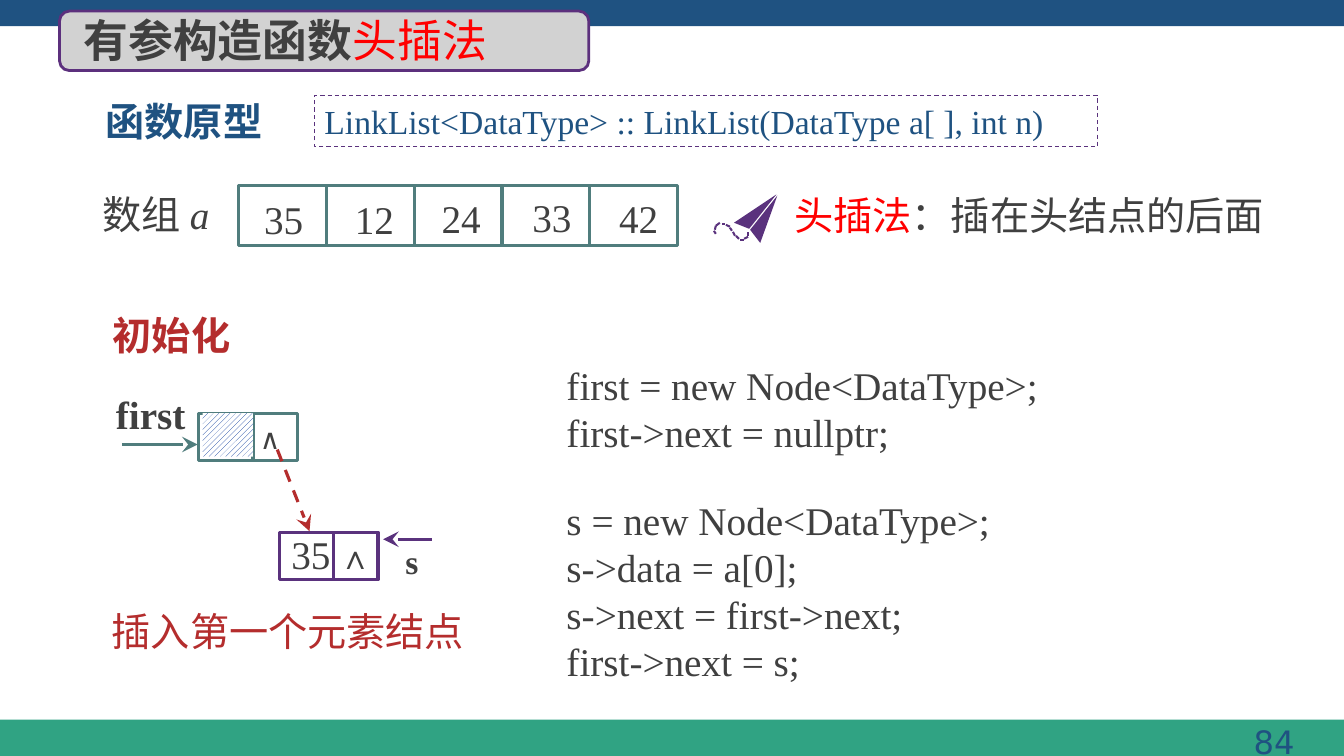
import math
import pptx
import pptx.dml.color
import pptx.enum.dml
import pptx.enum.shapes
import pptx.enum.text
import pptx.oxml
import pptx.oxml.ns
import pptx.util

# Colours and fonts
NAVY, GREEN, PURPLE, VIOLET = "1F5281", "30A383", "5A327D", "5C307D"
TEAL, RED, BRIGHT, GREY = "507D7D", "B42D2D", "FF0000", "404040"
SERIF, CJK, SANS = "Times New Roman", "Noto Sans CJK SC", "DejaVu Sans"

# Content; places are (left, top, width, height) in inches
BANDS = [((0, 7.14, 13.33, 0.36), GREEN), ((0, 0, 13.33, 0.26), NAVY)]
TITLE = [("有参构造函数", {"bold": True}), ("头插法", {"color": BRIGHT})]
ARRAY_LABEL = [("数组", {"name": SANS}), (" a", {"italic": True})]
ARRAY_NOTE = [("头插法", {"color": BRIGHT}), ("：插在头结点的后面", {})]
HEADINGS = [  # place, spans, size, font, colour, bold
    ((0.73, 0.07, 4.78, 0.64), TITLE, 32, CJK, GREY, False),
    ((0.95, 0.91, 2.67, 0.57), [("函数原型", {})], 28, SERIF, NAVY, True),
    ((0.92, 1.84, 1.58, 0.57), ARRAY_LABEL, 28, SERIF, GREY, False),
    ((7.78, 1.85, 5.04, 0.57), ARRAY_NOTE, 28, CJK, GREY, False),
    ((1.02, 3.04, 2.67, 0.57), [("初始化", {})], 28, SERIF, RED, True),
    ((1.01, 5.97, 3.92, 0.57), [("插入第一个元素结点", {})], 28, CJK, RED, False),
]
PROTOTYPE = "LinkList<DataType> :: LinkList(DataType a[ ], int n)"
CODE = [
    ((5.52, 3.54, 6.91, 1.04), ["first = new Node<DataType>;", "first->next = nullptr;"]),
    ((5.52, 4.87, 6.82, 1.99), ["s = new Node<DataType>;", "s->data = a[0];",
                                "s->next = first->next;", "first->next = s;"]),
]
ARRAY = [("35", 2.62, 1.94), ("12", 3.52, 1.94), ("24", 4.38, 1.93),
         ("33", 5.28, 1.92), ("42", 6.14, 1.93)]
ARRAY_LEFT, ARRAY_TOP, CELL_WIDTH, CELL_HEIGHT = 2.37, 1.84, 0.87, 0.6
NODES = [(1.97, 4.1, TEAL), (2.77, 5.28, PURPLE)]
NODE_WIDTH, NODE_HEIGHT, NODE_SPLIT = 0.98, 0.47, 0.54
ARROWS = [  # from, to, colour, dashed
    ((1.21, 4.41), (1.96, 4.41), TEAL, False),
    ((4.28, 5.35), (3.8, 5.35), PURPLE, False),
    ((2.75, 4.46), (3.07, 5.27), RED, True),
]
PLANE_WINGS = [[(7.71, 1.94), (7.54, 2.41), (7.44, 2.28)],
               [(7.7, 1.93), (7.43, 2.27), (7.28, 2.21)]]
TRAIL = [(7.42, 2.3, 7.42, 2.34), (7.42, 2.35, 7.38, 2.37), (7.38, 2.38, 7.34, 2.38),
         (7.33, 2.37, 7.3, 2.34), (7.29, 2.34, 7.27, 2.3), (7.26, 2.29, 7.24, 2.26),
         (7.24, 2.25, 7.2, 2.23), (7.19, 2.22, 7.16, 2.22), (7.14, 2.21, 7.1, 2.24),
         (7.1, 2.32, 7.08, 2.29), (7.1, 2.24, 7.09, 2.28)]
TRAIL_WIDTH = 0.02

deck = pptx.Presentation()


def inch(value):
    return pptx.util.Cm(value * 2.54)


deck.slide_width, deck.slide_height = inch(13.33), inch(7.5)
page = deck.slides.add_slide(deck.slide_layouts[6])


def rgb(code):
    return pptx.dml.color.RGBColor.from_string(code)


def set_line(line, color, width, dashed=False):
    line.color.rgb = rgb(color)
    line.width = pptx.util.Pt(width)
    if dashed:
        line.dash_style = pptx.enum.dml.MSO_LINE.DASH


def add_box(place, fill=None, line=None, width=2.25, dashed=False, kind="RECTANGLE"):
    preset = getattr(pptx.enum.shapes.MSO_SHAPE, kind)
    box = page.shapes.add_shape(preset, *map(inch, place))
    box.shadow.inherit = False
    if fill:
        box.fill.solid()
        box.fill.fore_color.rgb = rgb(fill)
    else:
        box.fill.background()
    if line:
        set_line(box.line, line, width, dashed)
    else:
        box.line.fill.background()
    return box


def write(box, lines, size, font=SERIF, color=GREY, bold=False, insets=(0.1, 0.05),
          anchor="TOP", align="LEFT", wrap=True, pitch=None):
    """Each line is a list of (text, format) spans."""
    frame = box.text_frame
    side, edge = map(inch, insets)
    settings = {"word_wrap": wrap, "margin_left": side, "margin_right": side,
                "margin_top": edge, "margin_bottom": edge,
                "vertical_anchor": getattr(pptx.enum.text.MSO_ANCHOR, anchor)}
    for key, value in settings.items():
        setattr(frame, key, value)
    for index, spans in enumerate(lines):
        para = frame.add_paragraph() if index else frame.paragraphs[0]
        para.alignment = getattr(pptx.enum.text.PP_ALIGN, align)
        if pitch:
            para.line_spacing = pptx.util.Pt(pitch)
        for text, changes in spans:
            span = para.add_run()
            span.text = text
            style = {"name": font, "size": pptx.util.Pt(size), "bold": bold,
                     "color": color, **changes}
            span.font.color.rgb = rgb(style.pop("color"))
            for key, value in style.items():
                setattr(span.font, key, value)
            east = pptx.oxml.parse_xml(
                f'<a:ea {pptx.oxml.ns.nsdecls("a")} '
                f'typeface="{SANS if style["name"] == SANS else CJK}"/>')
            span.font._element.find(pptx.oxml.ns.qn("a:latin")).addnext(east)


def add_text(place, lines, size, **options):
    write(page.shapes.add_textbox(*map(inch, place)), lines, size, **options)


def add_line(start, end, color, dashed=False, arrow=False):
    line = page.shapes.add_connector(
        pptx.enum.shapes.MSO_CONNECTOR.STRAIGHT, *map(inch, start + end))
    set_line(line.line, color, 2.25, dashed)
    names = pptx.oxml.ns.nsdecls("a")
    if arrow:
        line.line._get_or_add_ln().append(
            pptx.oxml.parse_xml(f'<a:tailEnd {names} type="stealth" w="lg" len="lg"/>'))
    line._element.spPr.append(pptx.oxml.parse_xml(f"<a:effectLst {names}/>"))


def add_outline(points, fill):
    corners = [(inch(x), inch(y)) for x, y in points]
    builder = page.shapes.build_freeform(*corners[0])
    builder.add_line_segments(corners[1:], close=True)
    outline = builder.convert_to_shape()
    outline.shadow.inherit = False
    outline.fill.solid()
    outline.fill.fore_color.rgb = rgb(fill)
    outline.line.fill.background()


# Bands, slide number and title plate
for place, color in BANDS:
    add_box(place, color)
add_text((10.03, 7.11, 2.94, 0.52), [[("84", {})]], 23, font=SANS, color=NAVY,
         insets=(0.13, 0.06), align="RIGHT")
add_box((0.59, 0.11, 5.25, 0.59), "D2D2D2", VIOLET, 2, kind="ROUNDED_RECTANGLE")

# Headings and labels
for place, spans, size, font, color, bold in HEADINGS:
    add_text(place, [spans], size, font=font, color=color, bold=bold, anchor="MIDDLE")

# Function prototype and code
write(add_box((3.12, 0.95, 7.77, 0.5), None, PURPLE, 0.75, True), [[(PROTOTYPE, {})]],
      24, color=NAVY, anchor="TOP")
for place, lines in CODE:
    add_text(place, [[(line, {})] for line in lines], 28, pitch=33.6)

# Array cells
for index, (number, left, top) in enumerate(ARRAY):
    add_box((ARRAY_LEFT + index * CELL_WIDTH, ARRAY_TOP, CELL_WIDTH, CELL_HEIGHT), None, TEAL)
    add_text((left, top, 0.45, 0.47), [[(number, {})]], 28, insets=(0, 0), pitch=33.6)

# Paper plane and its dashed trail
for wing in PLANE_WINGS:
    add_outline(wing, PURPLE)
for x1, y1, x2, y2 in TRAIL:
    reach = TRAIL_WIDTH / 2 / math.hypot(x2 - x1, y2 - y1)
    dx, dy = (y1 - y2) * reach, (x2 - x1) * reach
    add_outline([(x1 + dx, y1 + dy), (x2 + dx, y2 + dy),
                 (x2 - dx, y2 - dy), (x1 - dx, y1 - dy)], PURPLE)

# Linked nodes
for left, top, color in NODES:
    add_box((left, top, NODE_WIDTH, NODE_HEIGHT), None, color)
    add_line((left + NODE_SPLIT, top), (left + NODE_SPLIT, top + NODE_HEIGHT), color)
hatch = add_box((2.01, 4.1, 0.5, 0.43)).fill
hatch.patterned()
hatch.pattern = pptx.enum.dml.MSO_PATTERN.WIDE_UPWARD_DIAGONAL
hatch.fore_color.rgb, hatch.back_color.rgb = rgb("003399"), rgb("FFFFFF")
add_text((2.48, 4.13, 0.48, 0.43), [[("∧", {})]], 20, font=SANS, wrap=False)
add_text((3.26, 5.27, 0.49, 0.5), [[("∧", {})]], 24, bold=True, pitch=28.8)
add_text((2.89, 5.26, 0.45, 0.47), [[("35", {})]], 28, insets=(0, 0), anchor="MIDDLE")

# Pointers
add_text((1.15, 3.87, 0.83, 0.51), [[("first", {})]], 28, bold=True, insets=(0, 0), pitch=33.6)
add_text((4.02, 5.37, 0.27, 0.4), [[("s", {})]], 24, bold=True, insets=(0, 0), pitch=28.8)
for start, end, color, dashed in ARROWS:
    add_line(start, end, color, dashed, arrow=True)

deck.save("out.pptx")
